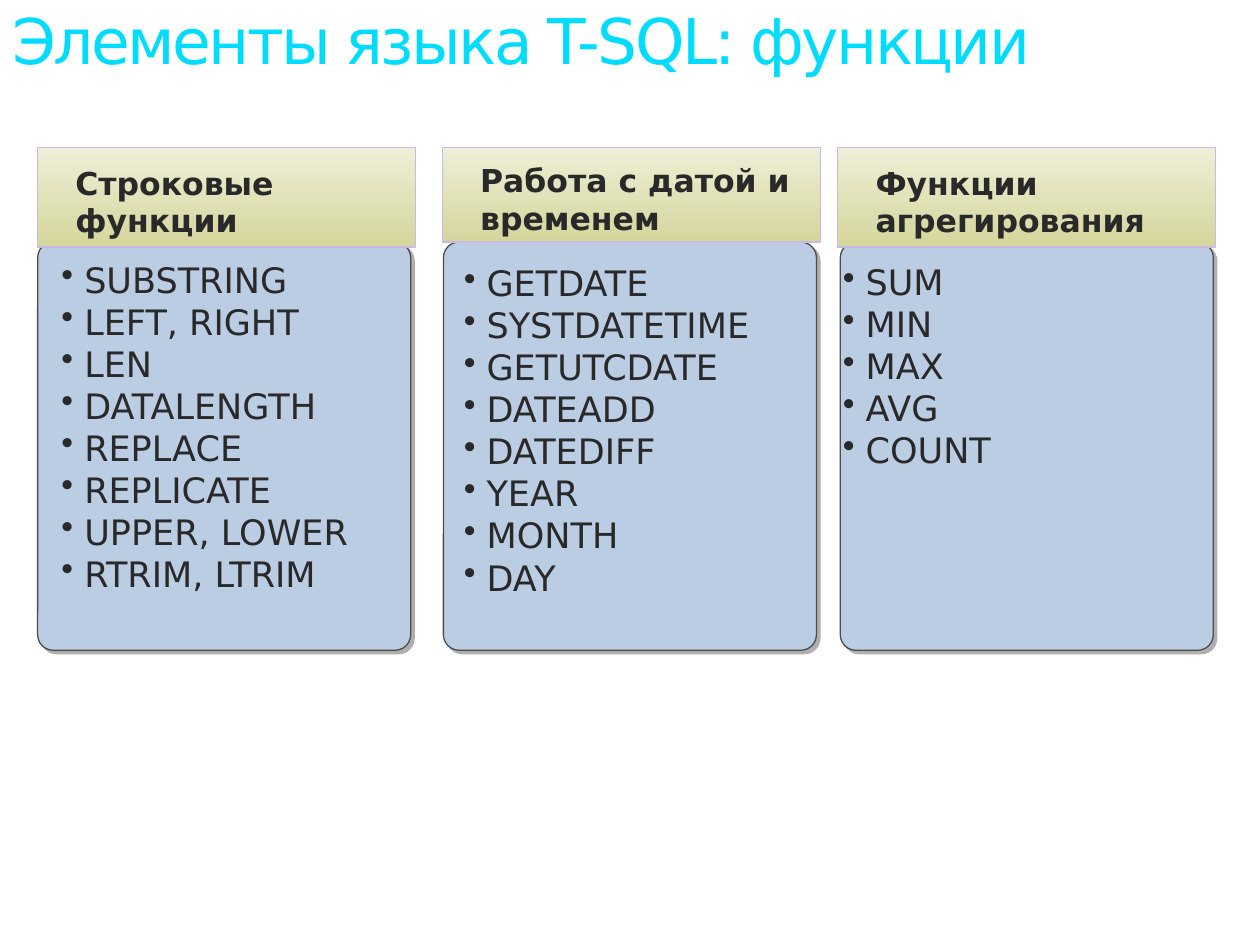
from lxml import etree
from pptx import Presentation, util as u
from pptx.dml.color import RGBColor
from pptx.enum import shapes, text
from pptx.oxml.ns import qn


def tint(code):
    return RGBColor.from_string(code)


class Deck:
    """Holds the style and the current slide."""

    font = "DejaVu Sans"
    ink = "292929"

    def __init__(self, slide):
        self.slide = slide

    def fit(self, frame, pad, anchor):
        frame.word_wrap = True
        frame.vertical_anchor = anchor
        frame.margin_left, frame.margin_top, frame.margin_right, frame.margin_bottom = map(u.Cm, pad)

    def label(self, para, words, size, color, bold=False):
        para.text = words
        para.alignment = text.PP_ALIGN.LEFT
        para.font.name = self.font
        para.font.size = u.Pt(size)
        para.font.bold = bold
        para.font.color.rgb = tint(color)

    def shape(self, kind, box, edge):
        item = self.slide.shapes.add_shape(kind, *map(u.Cm, box))
        item.shadow.inherit = False
        item.line.color.rgb = tint(edge)
        item.line.width = u.Pt(0.75)
        return item

    def card(self, box):
        item = self.shape(shapes.MSO_SHAPE.ROUNDED_RECTANGLE, box, "4D4D4D")
        item.adjustments[0] = 0.042
        item.fill.solid()
        item.fill.fore_color.rgb = tint("BBCDE3")
        effects = item._element.spPr.find(qn("a:effectLst"))
        shade = etree.SubElement(effects, qn("a:outerShdw"), dist=str(u.Pt(2.8)),
                                 dir="2700000", algn="ctr", rotWithShape="0")
        etree.SubElement(shade, qn("a:srgbClr"), val="AFAFAF")

    def head(self, box, words):
        item = self.shape(shapes.MSO_SHAPE.RECTANGLE, box, "CCB8E4")
        item.fill.gradient()
        item.fill.gradient_angle = 270
        for stop, code in zip(item.fill.gradient_stops, ("EEEFD7", "D5D69C")):
            stop.color.rgb = tint(code)
        self.fit(item.text_frame, (0.76, 0.3, 0.25, 0.13), text.MSO_ANCHOR.MIDDLE)
        self.label(item.text_frame.paragraphs[0], words, 18, self.ink, True)

    def items(self, box, names):
        frame = self.slide.shapes.add_textbox(*map(u.Cm, box)).text_frame
        self.fit(frame, (0, 0, 0, 0), text.MSO_ANCHOR.TOP)
        for i, name in enumerate(names):
            para = frame.add_paragraph() if i else frame.paragraphs[0]
            self.label(para, name, 20, self.ink)
            para.line_spacing = u.Pt(24)
            props = para._p.get_or_add_pPr()
            props.set("marL", str(u.Cm(0.46)))
            props.set("indent", str(-u.Cm(0.46)))
            bullet = etree.Element(qn("a:buChar"), char="•")
            props.find(qn("a:defRPr")).addprevious(bullet)

    def title(self, box, words):
        frame = self.slide.shapes.add_textbox(*map(u.Cm, box)).text_frame
        self.fit(frame, (0.25, 0.2, 0.25, 0.13), text.MSO_ANCHOR.TOP)
        para = frame.paragraphs[0]
        self.label(para, words, 36, "00DCFF")
        para.line_spacing = 0.9
        para.runs[0].font._element.set("spc", "-150")


show = Presentation()
show.slide_width, show.slide_height = u.Cm(25.4), u.Cm(19.05)
deck = Deck(show.slides.add_slide(show.slide_layouts[6]))

groups = [
    ("Строковые функции", (0.76, 2.97, 7.62, 2.01), 0.76, (1.24, 5.21, 6.71, 7.57),
     ["SUBSTRING", "LEFT, RIGHT", "LEN", "DATALENGTH", "REPLACE", "REPLICATE",
      "UPPER, LOWER", "RTRIM, LTRIM"]),
    ("Работа с датой и временем", (8.92, 2.97, 7.62, 1.91), 8.94, (9.35, 5.28, 7.11, 7.82),
     ["GETDATE", "SYSTDATETIME", "GETUTCDATE", "DATEADD", "DATEDIFF", "YEAR",
      "MONTH", "DAY"]),
    ("Функции агрегирования", (16.89, 2.97, 7.62, 2.01), 16.94, (16.99, 5.26, 7.29, 7.52),
     ["SUM", "MIN", "MAX", "AVG", "COUNT"]),
]
for topic, top, left, body, names in groups:
    deck.card((left, 4.88, 7.52, 8.23))
    deck.items(body, names)
    deck.head(top, topic)
deck.title((0, 0, 22.23, 2.06), "Элементы языка T-SQL: функции")

show.save("out.pptx")
